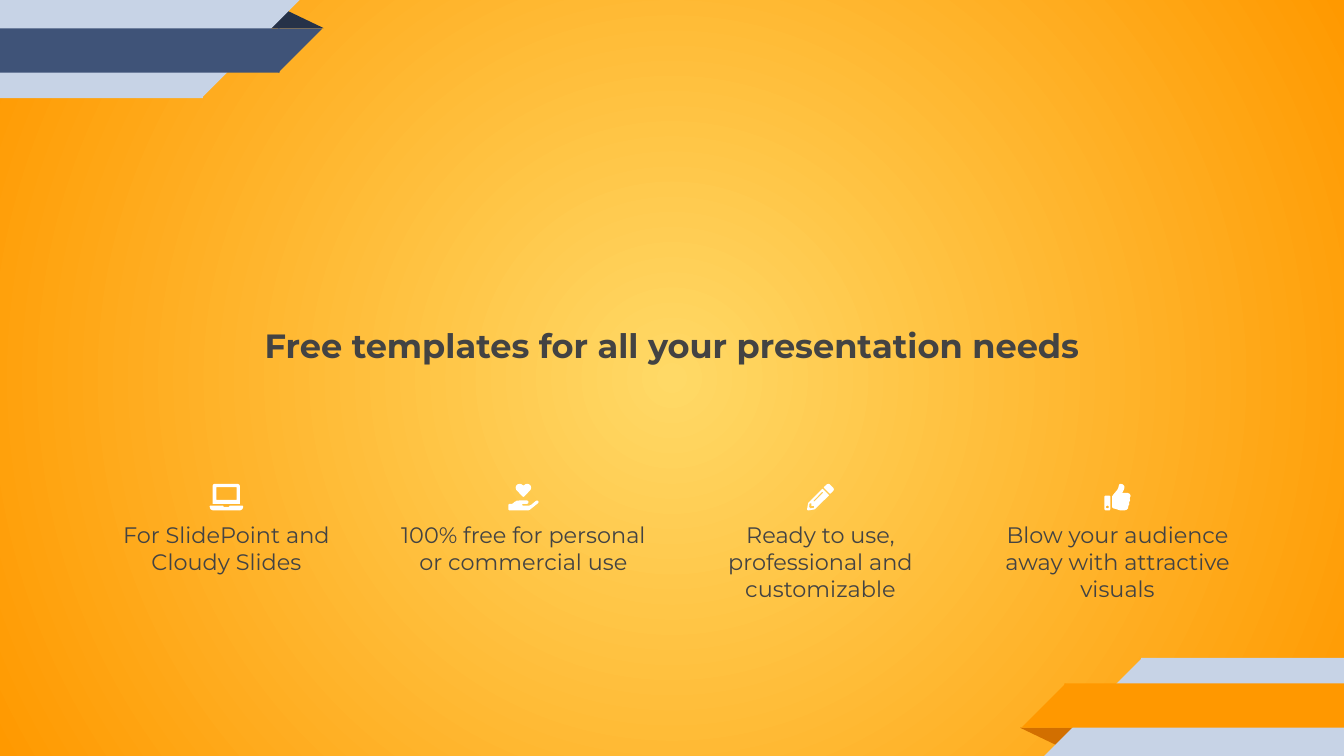
from pptx import Presentation
from pptx.dml.color import RGBColor
from pptx.enum.shapes import MSO_SHAPE as Shape
from pptx.enum.text import PP_ALIGN as Align
from pptx.oxml import parse_xml
from pptx.oxml.ns import nsdecls
from pptx.util import Inches, Pt

FONT = "Montserrat"
INK = RGBColor(0x43, 0x43, 0x43)
WHITE = RGBColor(0xFF, 0xFF, 0xFF)
MIST = RGBColor(0xC7, 0xD3, 0xE6)
NAVY = RGBColor(0x3F, 0x53, 0x78)
DARK_NAVY = RGBColor(0x26, 0x32, 0x48)
ORANGE = RGBColor(0xFF, 0x98, 0x00)
DARK_ORANGE = RGBColor(0xD2, 0x6F, 0x00)
GLOW_CENTER = RGBColor(0xFF, 0xD9, 0x66)
GLOW_EDGE = RGBColor(0xFF, 0x99, 0x00)

SLIDE_WIDTH = 10
SLIDE_HEIGHT = SLIDE_WIDTH * 9 / 16
TITLE = "Free templates for all your presentation needs"

LAPTOP = [
    [(5, 2.5), (20, 2.5), (20, 12), (5, 12)],
    [(2.2, 15), (2.2, 1.5), (2.7, 0.5), (3.7, 0), (21, 0), (22, 0.5),
     (22.5, 1.5), (22.5, 15)],
    [(0.5, 16.2), (10, 16.2), (10.5, 17.2), (14.3, 17.2), (15, 16.2),
     (24.5, 16.2), (25, 16.7), (24.8, 18), (24, 19.2), (22.5, 19.8),
     (2.5, 19.8), (1, 19.2), (0.2, 18), (0, 16.7)],
]
HEART_IN_HAND = [
    [(8.2, 0), (9.5, 0.2), (11.2, 1.3), (12.9, 0.2), (14.2, 0), (15.6, 0.4),
     (16.7, 1.6), (17, 3), (16.5, 4.5), (11.9, 9.4), (11.2, 9.7),
     (10.5, 9.4), (5.9, 4.5), (5.4, 3), (5.7, 1.6), (6.8, 0.4)],
    [(8, 12.4), (14, 12.4), (14.8, 12.8), (15, 13.8), (14.6, 14.6),
     (13.7, 15), (10.6, 15), (10, 15.6), (10.6, 16.2), (15.5, 16.2),
     (16.9, 15.7), (20.4, 12.8), (21.2, 12.4), (22, 12.6), (22.5, 13.4),
     (22.2, 14.3), (16, 19.3), (14.7, 19.8), (0.6, 19.8), (0, 19.2),
     (0, 15.5), (0.6, 15), (2.8, 15), (4.6, 13.5), (6.2, 12.6)],
]
PENCIL = [
    [(15.8, 0), (17, 0.4), (19.6, 3), (20, 4.1), (19.6, 5.2), (17.5, 7.3),
     (16.9, 7.3), (12.6, 3), (12.6, 2.4), (14.7, 0.4)],
    [(11.7, 6), (12, 6.7), (5.5, 13.1), (4.9, 13.1), (4.9, 12.4), (11.2, 6)],
    [(3.3, 14.5), (3.3, 16.4), (5.2, 16.4), (5.2, 17.9), (2.7, 18.3),
     (1.5, 17.2), (1.9, 14.5)],
    [(11.3, 3.8), (11.8, 3.8), (16.2, 8.2), (16.2, 8.7), (5.8, 19),
     (1, 19.8), (0.3, 19.6), (0, 19), (0.9, 14.2)],
]
THUMBS_UP = [
    [(2.3, 16.2), (3.1, 16.5), (3.5, 17.3), (3.1, 18), (2.3, 18.3),
     (1.5, 18), (1.2, 17.3), (1.5, 16.5)],
    [(0.9, 8.7), (3.8, 8.7), (4.6, 9.5), (4.6, 18.9), (3.8, 19.8),
     (0.9, 19.8), (0, 18.9), (0, 9.5)],
    [(12.2, 0), (13.8, 0.4), (14.8, 1.5), (15, 2.8), (14.5, 4.5),
     (13.3, 6.8), (17.4, 6.8), (19, 7.5), (19.6, 9), (18.9, 10.6),
     (19.2, 12.2), (18.5, 13.8), (18.6, 15.2), (17.9, 16.4), (17.7, 18.2),
     (16.6, 19.4), (14.8, 19.8), (12, 19.8), (8.7, 18.8), (6.7, 18.3),
     (5.9, 17.5), (5.9, 9.3), (6.6, 8.2), (9.6, 4.6), (10.4, 3),
     (10.9, 1), (11.4, 0.2)],
]
FEATURES = [
    (LAPTOP, "For SlidePoint and Cloudy Slides"),
    (HEART_IN_HAND, "100% free for personal or commercial use"),
    (PENCIL, "Ready to use, professional and customizable"),
    (THUMBS_UP, "Blow your audience away with attractive visuals"),
]
FEATURE_LEFT, FEATURE_PITCH, FEATURE_WIDTH = 0.76, 2.21, 1.85
ICON_TOP, CAPTION_TOP, CAPTION_HEIGHT = 3.6, 3.88, 0.7

RIBBONS = [
    (NAVY, DARK_NAVY, True),
    (ORANGE, DARK_ORANGE, False),
]
FOLD = (1.98, 0.07, 0.43, 0.14)
BANDS = [
    (MIST, 0, 1.5, 0.73),
    (None, 0.21, 2.07, 0.33),
]
BAND_OVERLAP = 0.01


def paint(shape, color):
    shape.shadow.inherit = False
    shape.fill.solid()
    shape.fill.fore_color.rgb = color
    shape.line.fill.background()


def add_ribbon(shapes, color, fold_color, at_top):
    group = shapes.add_group_shape().shapes

    def add_part(kind, left, top, width, height, part_color, turned, flipped):
        if not at_top:
            left = SLIDE_WIDTH - left - width
            top = SLIDE_HEIGHT - top - height
        shape = group.add_shape(kind, *map(Inches, (left, top, width, height)))
        paint(shape, part_color)
        shape.rotation = 180 if turned else 0
        if flipped:
            shape._element.spPr.xfrm.set("flipH", "1")
        return shape

    fold = add_part(Shape.ISOSCELES_TRIANGLE, *FOLD, fold_color, not at_top, False)
    fold.adjustments[0] = 0.32
    for band_color, top, length, height in BANDS:
        band_color = band_color or color
        add_part(Shape.RECTANGLE, 0, top, length + BAND_OVERLAP, height,
                 band_color, at_top, True)
        add_part(Shape.RIGHT_TRIANGLE, length, top, height, height, band_color,
                 at_top, True)


def add_text(shapes, text, left, top, width, height, size, bold=False):
    box = shapes.add_textbox(*map(Inches, (left, top, width, height)))
    frame = box.text_frame
    frame.word_wrap = True
    frame.margin_left = frame.margin_right = 0
    frame.margin_top = frame.margin_bottom = 0
    frame.text = text
    paragraph = frame.paragraphs[0]
    paragraph.alignment = Align.CENTER
    font = paragraph.runs[0].font
    font.name, font.size, font.bold = FONT, Pt(size), bold
    font.color.rgb = INK


def add_icon(shapes, contours, center, top):
    width = max(x for contour in contours for x, _ in contour) / 100
    left = center - width / 2
    placed = [[(Inches(left + x / 100), Inches(top + y / 100)) for x, y in contour]
              for contour in contours]
    builder = shapes.build_freeform(*placed[0][0], scale=1.0)
    builder.add_line_segments(placed[0][1:], close=True)
    for contour in placed[1:]:
        builder.move_to(*contour[0])
        builder.add_line_segments(contour[1:], close=True)
    paint(builder.convert_to_shape(), WHITE)


def set_glow(slide):
    slide._element.cSld.insert(0, parse_xml(
        f'<p:bg {nsdecls("p", "a")}><p:bgPr><a:gradFill><a:gsLst>'
        f'<a:gs pos="0"><a:srgbClr val="{GLOW_CENTER}"/></a:gs>'
        f'<a:gs pos="100000"><a:srgbClr val="{GLOW_EDGE}"/></a:gs></a:gsLst>'
        '<a:path path="circle"><a:fillToRect l="50000" t="50000" r="50000" '
        'b="50000"/></a:path></a:gradFill><a:effectLst/></p:bgPr></p:bg>'))


def main():
    presentation = Presentation()
    presentation.slide_width = Inches(SLIDE_WIDTH)
    presentation.slide_height = Inches(SLIDE_HEIGHT)
    slide = presentation.slides.add_slide(presentation.slide_layouts[6])
    set_glow(slide)
    for ribbon in RIBBONS:
        add_ribbon(slide.shapes, *ribbon)
    add_text(slide.shapes, TITLE, 1.21, 2.42, 7.58, 0.29, 18, bold=True)
    features = slide.shapes.add_group_shape().shapes
    for index, (icon, caption) in enumerate(FEATURES):
        left = FEATURE_LEFT + index * FEATURE_PITCH
        add_text(features, caption, left, CAPTION_TOP, FEATURE_WIDTH, CAPTION_HEIGHT, 12)
        add_icon(features, icon, left + FEATURE_WIDTH / 2, ICON_TOP)
    presentation.save("out.pptx")


if __name__ == "__main__":
    main()
